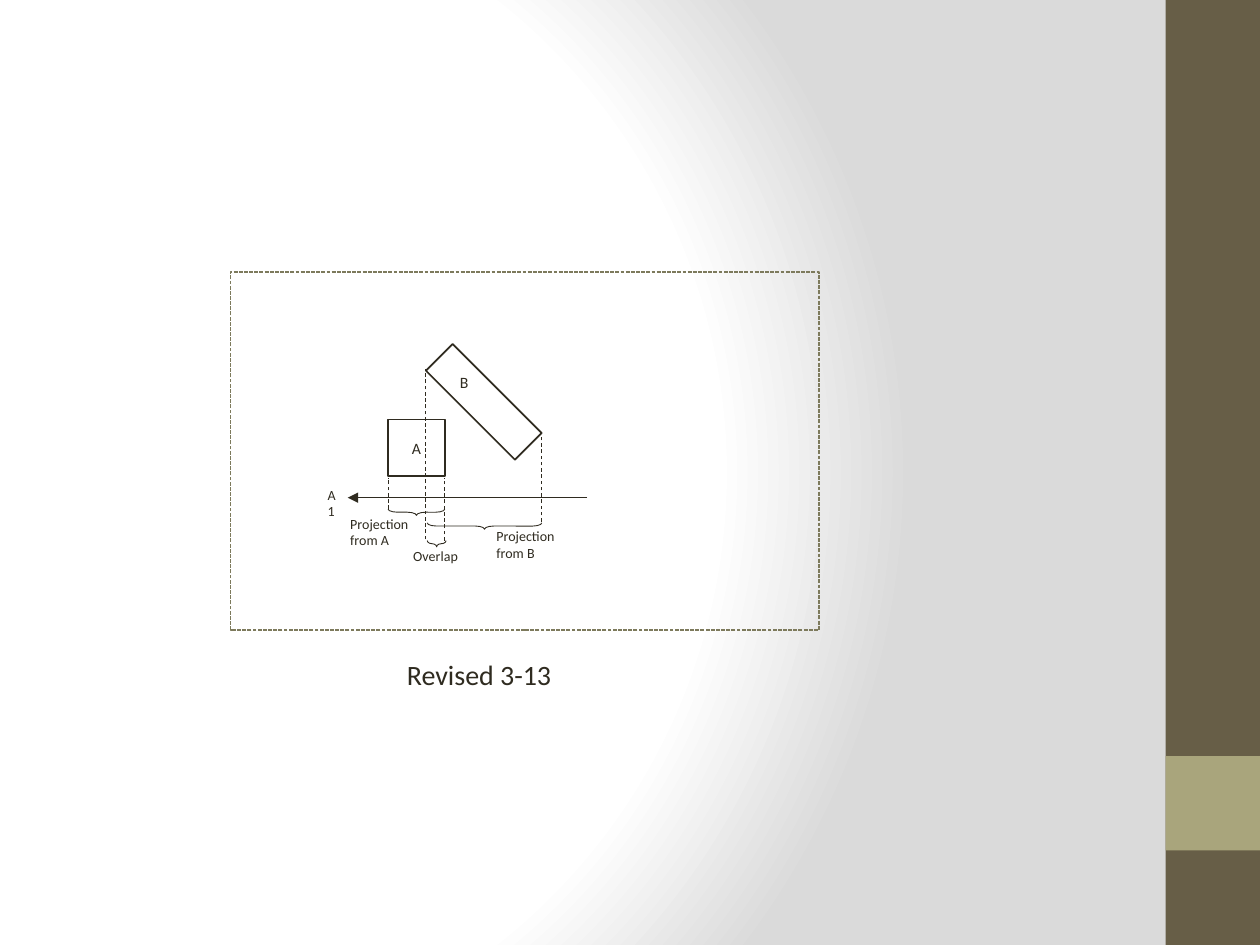
from dataclasses import dataclass

from lxml import etree
from pptx import Presentation
from pptx import util as u
from pptx.dml import color
from pptx.enum import dml, shapes, text
from pptx.oxml import parse_xml
from pptx.oxml.ns import nsdecls, qn

INK = "2F2B20"
BOX = shapes.MSO_SHAPE.RECTANGLE
BRACE = shapes.MSO_SHAPE.RIGHT_BRACE


@dataclass
class Label:
    words: str
    left: float
    top: float
    width: float
    height: float
    size: float = 8
    wrap: bool = False


@dataclass
class Drop:
    x: float
    top: float
    base: float


@dataclass
class Span:
    left: float
    top: float
    width: float


LABELS = [
    Label("A", 3.27, 3.43, 0.07, 0.25, size=9),
    Label("B", 3.65, 2.91, 0.07, 0.25, size=9),
    Label("A1", 2.6, 3.81, 0.12, 0.24),
    Label("Projection\nfrom A", 2.78, 4.04, 0.47, 0.37),
    Label("Projection\nfrom B", 3.94, 4.14, 0.47, 0.37),
    Label("Overlap", 3.28, 4.3, 0.36, 0.24),
    Label("Revised 3-13", 3.23, 5.17, 2.32, 0.37, size=16, wrap=True),
]
DROPS = [
    Drop(3.08, 3.79, 4.04),
    Drop(3.53, 3.79, 4.29),
    Drop(3.38, 2.93, 4.28),
    Drop(4.3, 3.44, 4.14),
]
SPANS = [Span(3.39, 4.15, 0.91), Span(3.08, 4.04, 0.45), Span(3.39, 4.29, 0.15)]


def rgb(code: str) -> color.RGBColor:
    return color.RGBColor.from_string(code)


def wash(slide) -> None:
    slide.background.fill.gradient()
    grad = slide.element.find(".//" + qn("a:gradFill"))
    for part in list(grad):
        grad.remove(part)
    stops = "".join(
        f'<a:gs pos="{pos * 1000}"><a:srgbClr val="{code}"/></a:gs>'
        for pos, code in [(0, "FFFFFF"), (75, "FFFFFF"), (100, "DADADA")]
    )
    grad.append(parse_xml(f'<a:gsLst {nsdecls("a")}>{stops}</a:gsLst>'))
    grad.append(parse_xml(
        f'<a:path {nsdecls("a")} path="circle">'
        '<a:fillToRect l="20000" t="50000" r="100000" b="50000"/></a:path>'
    ))


def write(slide, words: str, left: float, top: float, width: float,
          height: float, *, size: float, wrap: bool = False) -> None:
    box = slide.shapes.add_textbox(*map(u.Inches, (left, top, width, height)))
    frame = box.text_frame
    frame.margin_left = frame.margin_right = 0
    frame.word_wrap = wrap
    frame.auto_size = text.MSO_AUTO_SIZE.SHAPE_TO_FIT_TEXT
    para = frame.paragraphs[0]
    para.text = words
    for run in para.runs:
        run.font.name = "Calibri"
        run.font.size = u.Pt(size)
        run.font.color.rgb = rgb(INK)


def form(slide, kind, left: float, top: float, width: float, height: float, *,
         fill: str = "", line: str = "", weight: float = 1, turn: float = 0):
    item = slide.shapes.add_shape(
        kind, *map(u.Inches, (left, top, width, height)))
    item.shadow.inherit = False
    item.rotation = turn
    if fill:
        item.fill.solid()
        item.fill.fore_color.rgb = rgb(fill)
    else:
        item.fill.background()
    if line:
        item.line.color.rgb = rgb(line)
        item.line.width = u.Pt(weight)
    else:
        item.line.fill.background()
    return item


def rule(slide, x1: float, y1: float, x2: float, y2: float, weight: float):
    line = slide.shapes.add_connector(
        shapes.MSO_CONNECTOR.STRAIGHT, *map(u.Inches, (x1, y1, x2, y2)))
    line.line.color.rgb = rgb(INK)
    line.line.width = u.Pt(weight)
    etree.SubElement(line.element.spPr, qn("a:effectLst"))
    return line


def drop(slide, item: Drop) -> None:
    line = rule(slide, item.x, item.base, item.x, item.top, 0.5)
    line.line.dash_style = dml.MSO_LINE.DASH


def brace(slide, span: Span) -> None:
    depth = 0.05
    shift = (span.width - depth) / 2
    item = form(slide, BRACE, span.left + shift, span.top - shift, depth,
                span.width, line=INK, weight=0.5, turn=90)
    item.adjustments[0] = 1.47
    item.adjustments[1] = 0.5


def main() -> None:
    deck = Presentation()
    deck.slide_width, deck.slide_height = u.Inches(10), u.Inches(7.5)
    slide = deck.slides.add_slide(deck.slide_layouts[6])
    wash(slide)
    form(slide, BOX, 9.25, 0, 0.75, 7.5, fill="675E47")
    form(slide, BOX, 9.25, 6, 0.75, 0.75, fill="A9A57C")
    for item in DROPS:
        drop(slide, item)
    for tag in LABELS:
        write(slide, tag.words, tag.left, tag.top, tag.width, tag.height,
              size=tag.size, wrap=tag.wrap)
    frame = form(slide, BOX, 1.83, 2.16, 4.67, 2.84, line="7D7A5C", weight=0.75)
    frame.line.dash_style = dml.MSO_LINE.SQUARE_DOT
    form(slide, BOX, 3.08, 3.33, 0.45, 0.45, line=INK)
    form(slide, BOX, 3.34, 3.04, 1, 0.3, line=INK, turn=45)
    for span in SPANS:
        brace(slide, span)
    axis = rule(slide, 4.66, 3.95, 2.76, 3.95, 0.75)
    etree.SubElement(axis.line._get_or_add_ln(), qn("a:tailEnd"), type="triangle")
    deck.save("out.pptx")


if __name__ == "__main__":
    main()
